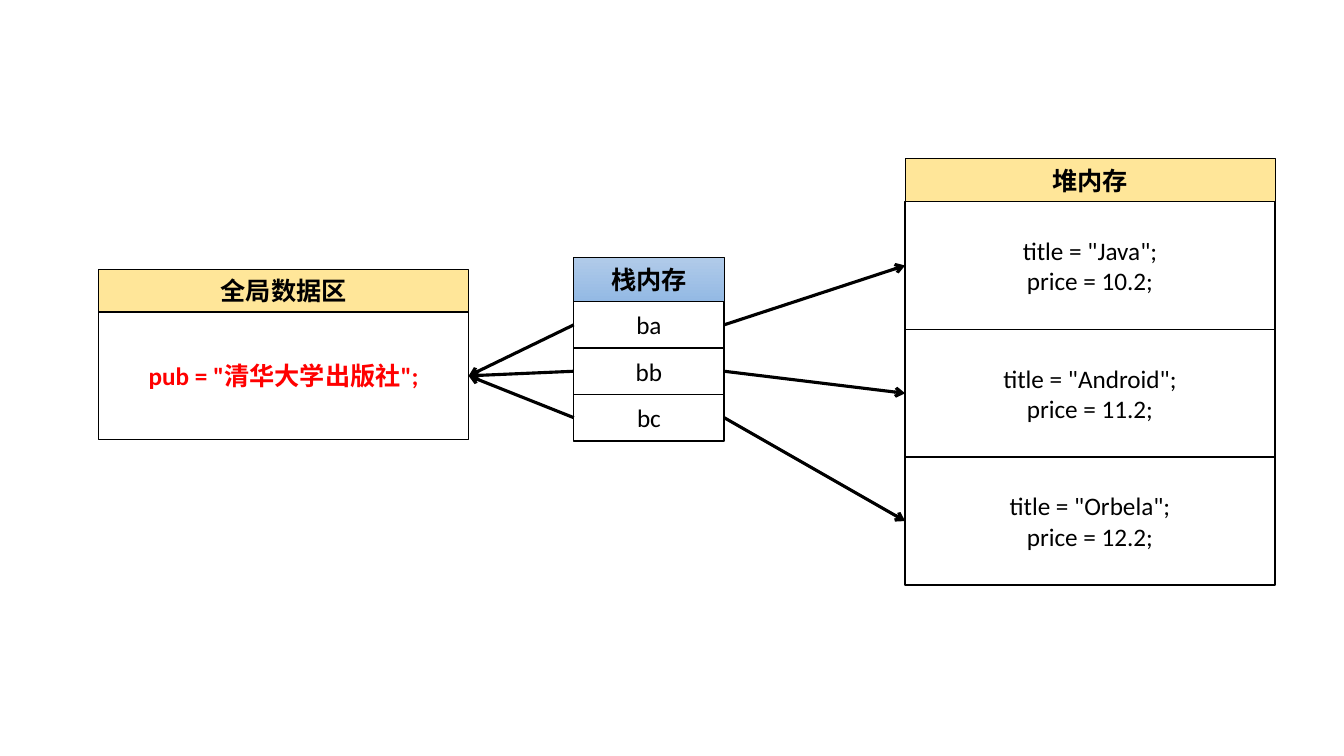
import dataclasses

import pptx
import pptx.dml.color
import pptx.enum.shapes
import pptx.enum.text
import pptx.oxml
import pptx.oxml.ns
import pptx.util
from lxml import etree

Cm, Pt = pptx.util.Cm, pptx.util.Pt
rgb = pptx.dml.color.RGBColor.from_string


@dataclasses.dataclass(frozen=True)
class Theme:
    font: str = "Calibri"
    size: float = 18
    black: str = "000000"
    white: str = "FFFFFF"
    red: str = "FF0000"
    yellow: str = "FFE699"
    blue: tuple = ("B1CBE9", "93B9E4")
    header_line: float = 0.5
    cell_line: float = 1
    arrow_line: float = 2.25


theme = Theme()


def add_box(text, *, left, top, width, height, fill=theme.white,
            color=theme.black, bold=False, line=theme.cell_line):
    """Add a bordered rectangle; a tuple as fill makes a vertical gradient."""
    shape = slide.shapes.add_shape(
        pptx.enum.shapes.MSO_SHAPE.RECTANGLE,
        Cm(left), Cm(top), Cm(width), Cm(height))
    shape.shadow.inherit = False
    shape.line.color.rgb = rgb(theme.black)
    shape.line.width = Pt(line)
    if isinstance(fill, tuple):
        shape.fill.gradient()
        shape.fill.gradient_angle = 270
        for stop, stop_color in zip(shape.fill.gradient_stops, fill):
            stop.color.rgb = rgb(stop_color)
    else:
        shape.fill.solid()
        shape.fill.fore_color.rgb = rgb(fill)
    frame = shape.text_frame
    frame.word_wrap = True
    frame.vertical_anchor = pptx.enum.text.MSO_ANCHOR.MIDDLE
    frame.text = text
    for paragraph in frame.paragraphs:
        paragraph.alignment = pptx.enum.text.PP_ALIGN.CENTER
        for run in paragraph.runs:
            run.font.name = theme.font
            run.font.size = Pt(theme.size)
            run.font.bold = bold
            run.font.color.rgb = rgb(color)
    return shape


def add_arrow(start, start_site, end, end_site):
    """Join two boxes; site 1 is the left side and site 3 the right side."""
    connector = slide.shapes.add_connector(
        pptx.enum.shapes.MSO_CONNECTOR.STRAIGHT, 0, 0, 0, 0)
    connector.begin_connect(start, start_site)
    connector.end_connect(end, end_site)
    connector.line.color.rgb = rgb(theme.black)
    connector.line.width = Pt(theme.arrow_line)
    qn = pptx.oxml.ns.qn
    etree.SubElement(connector.line._get_or_add_ln(), qn("a:tailEnd"), type="arrow")
    etree.SubElement(connector._element.spPr, qn("a:effectLst"))


presentation = pptx.Presentation()
presentation.slide_width = Cm(33.87)
presentation.slide_height = Cm(19.05)
slide = presentation.slides.add_slide(presentation.slide_layouts[6])

# Memory areas: a header above a column of equal cells
areas = [
    dict(name="全局数据区", left=2.49, top=7.86, width=9.32, header=1.08,
         cell=3.22, fill=theme.yellow, color=theme.red, bold=True,
         texts=['pub = "清华大学出版社";']),
    dict(name="栈内存", left=14.46, top=7.6, width=3.79, header=1.12,
         cell=1.17, fill=theme.blue, color=theme.black, bold=False,
         texts=["ba", "bb", "bc"]),
    dict(name="堆内存", left=22.81, top=5.08, width=9.32, header=1.09,
         cell=3.22, fill=theme.yellow, color=theme.black, bold=False,
         texts=['title = "Java";\nprice = 10.2;',
                'title = "Android";\nprice = 11.2;',
                'title = "Orbela";\nprice = 12.2;']),
]
columns = []
for area in areas:
    left, top, width = area["left"], area["top"], area["width"]
    add_box(area["name"], left=left, top=top - area["header"], width=width,
            height=area["header"], fill=area["fill"], bold=True,
            line=theme.header_line)
    columns.append([
        add_box(text, left=left, top=top + row * area["cell"], width=width,
                height=area["cell"], color=area["color"], bold=area["bold"])
        for row, text in enumerate(area["texts"])])

# References from each stack variable to its object and the shared value
global_cells, stack_cells, heap_cells = columns
for variable, book in zip(stack_cells, heap_cells):
    add_arrow(variable, 3, book, 1)
    add_arrow(variable, 1, global_cells[0], 3)

presentation.save("out.pptx")
